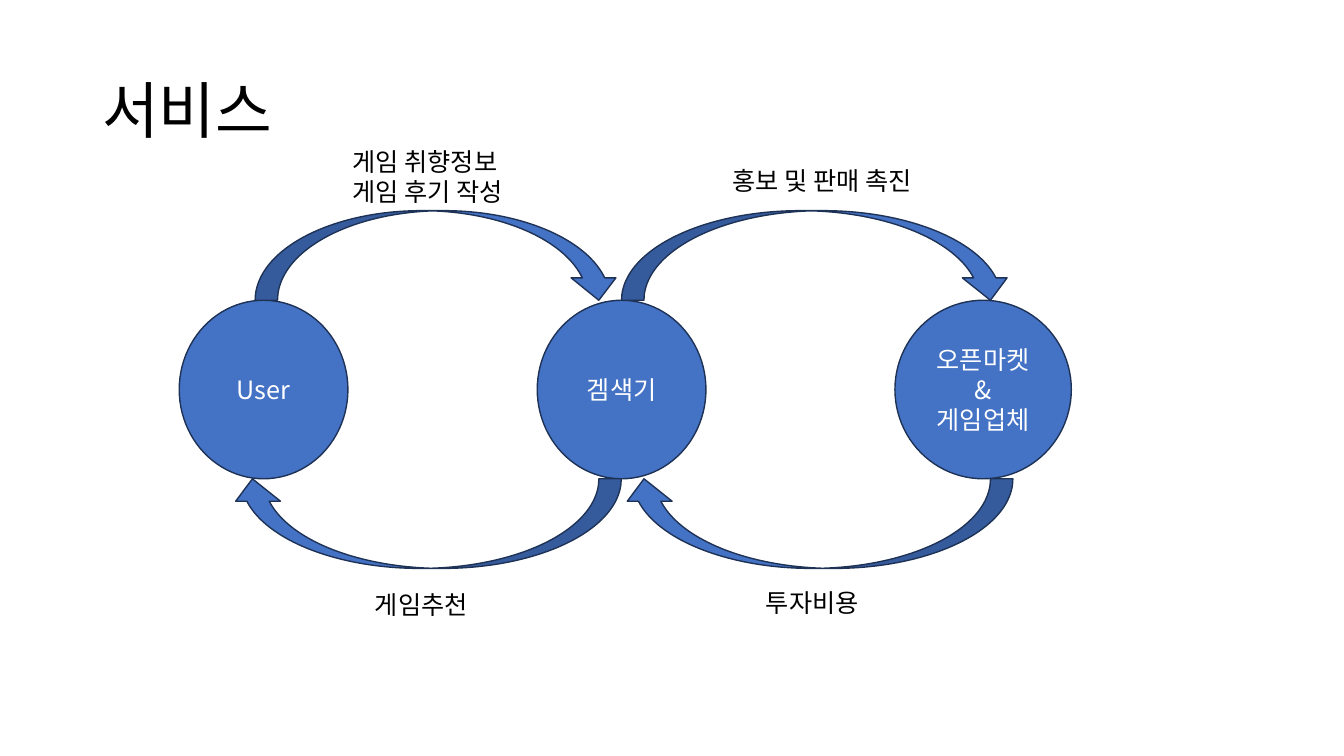
"""Builds the service flow slide: user, game finder and market."""
import pptx
import pptx.util
import pptx.dml.color
import pptx.enum.shapes
import pptx.enum.text
import pptx.oxml.ns
import lxml.etree

Pt = pptx.util.Pt
PRESET = pptx.enum.shapes.MSO_SHAPE
ANCHOR = pptx.enum.text.MSO_ANCHOR
ALIGN = pptx.enum.text.PP_ALIGN
AUTO_SIZE = pptx.enum.text.MSO_AUTO_SIZE

COLOURS = {"fill": "4472C4", "outline": "1E3256", "dark": "000000", "light": "FFFFFF"}


def rgb(name):
    """Return the named palette colour."""
    return pptx.dml.color.RGBColor.from_string(COLOURS[name])


def write(frame, text, size=18, colour="dark", align=ALIGN.LEFT,
          anchor=ANCHOR.TOP, spacing=None, font="Noto Sans CJK KR"):
    """Fill a text frame, one paragraph per line of text."""
    frame.vertical_anchor = anchor
    frame.text = text
    for paragraph in frame.paragraphs:
        paragraph.alignment = align
        if spacing:
            paragraph.line_spacing = spacing
        for run in paragraph.runs:
            run.font.size = Pt(size)
            run.font.name = font
            run.font.color.rgb = rgb(colour)
            east_asian = lxml.etree.SubElement(
                run.font._element, pptx.oxml.ns.qn("a:ea"))
            east_asian.set("typeface", font)


class FlowSlide:
    """Holds the slide and draws its elements in one style."""

    def __init__(self, slide):
        """Keep the slide to draw on."""
        self.shapes = slide.shapes

    def filled(self, preset, left, top, width, height):
        """Add a preset shape in the common fill and outline."""
        shape = self.shapes.add_shape(preset, Pt(left), Pt(top), Pt(width), Pt(height))
        shape.shadow.inherit = False
        shape.fill.solid()
        shape.fill.fore_color.rgb = rgb("fill")
        shape.line.color.rgb = rgb("outline")
        shape.line.width = Pt(1)
        return shape

    def party(self, text, left, width):
        """Add a circle that names one party."""
        circle = self.filled(PRESET.OVAL, left, 214.5, width, 127.5)
        circle.text_frame.word_wrap = True
        write(circle.text_frame, text, colour="light", align=ALIGN.CENTER,
              anchor=ANCHOR.MIDDLE)

    def flow(self, left, top, width, rotation):
        """Add a curved arrow between two parties."""
        arrow = self.filled(PRESET.CURVED_DOWN_ARROW, left, top, width, 64)
        arrow.rotation = rotation

    def box(self, left, top, width, height):
        """Add an empty text box and return its frame."""
        return self.shapes.add_textbox(
            Pt(left), Pt(top), Pt(width), Pt(height)).text_frame

    def title(self, text):
        """Add the slide title."""
        frame = self.box(66, 28.75, 828, 104.4)
        frame.word_wrap = True
        write(frame, text, size=44, anchor=ANCHOR.MIDDLE, spacing=0.9)

    def label(self, text, left, top, width, height=51):
        """Add an unwrapped label for a flow."""
        frame = self.box(left, top, width, height)
        frame.word_wrap = False
        frame.auto_size = AUTO_SIZE.SHAPE_TO_FIT_TEXT
        write(frame, text)


def main():
    """Draw the slide and save it."""
    deck = pptx.Presentation()
    deck.slide_width, deck.slide_height = Pt(960), Pt(540)
    page = FlowSlide(deck.slides.add_slide(deck.slide_layouts[6]))

    page.title("서비스")
    for party, left, width in (("User", 128, 120.5),
                               ("오픈마켓&\n게임업체", 639.25, 126),
                               ("겜색기", 383.75, 120.5)):
        page.party(party, left, width)

    above, below = 150.5, 342
    for left, top, width, rotation in ((182.25, above, 261.5, 0),
                                       (444, above, 279.5, 0),
                                       (164.25, below, 279.5, 180),
                                       (444, below, 279.5, 180)):
        page.flow(left, top, width, rotation)

    page.label("게임 취향정보\n게임 후기 작성", 244.75, 101, 137, 72.5)
    page.label("게임추천", 260.75, 417.5, 87)
    page.label("투자비용", 540, 416, 87)
    page.label("홍보 및 판매 촉진", 516.25, 114.5, 161)

    deck.save("out.pptx")


if __name__ == "__main__":
    main()
